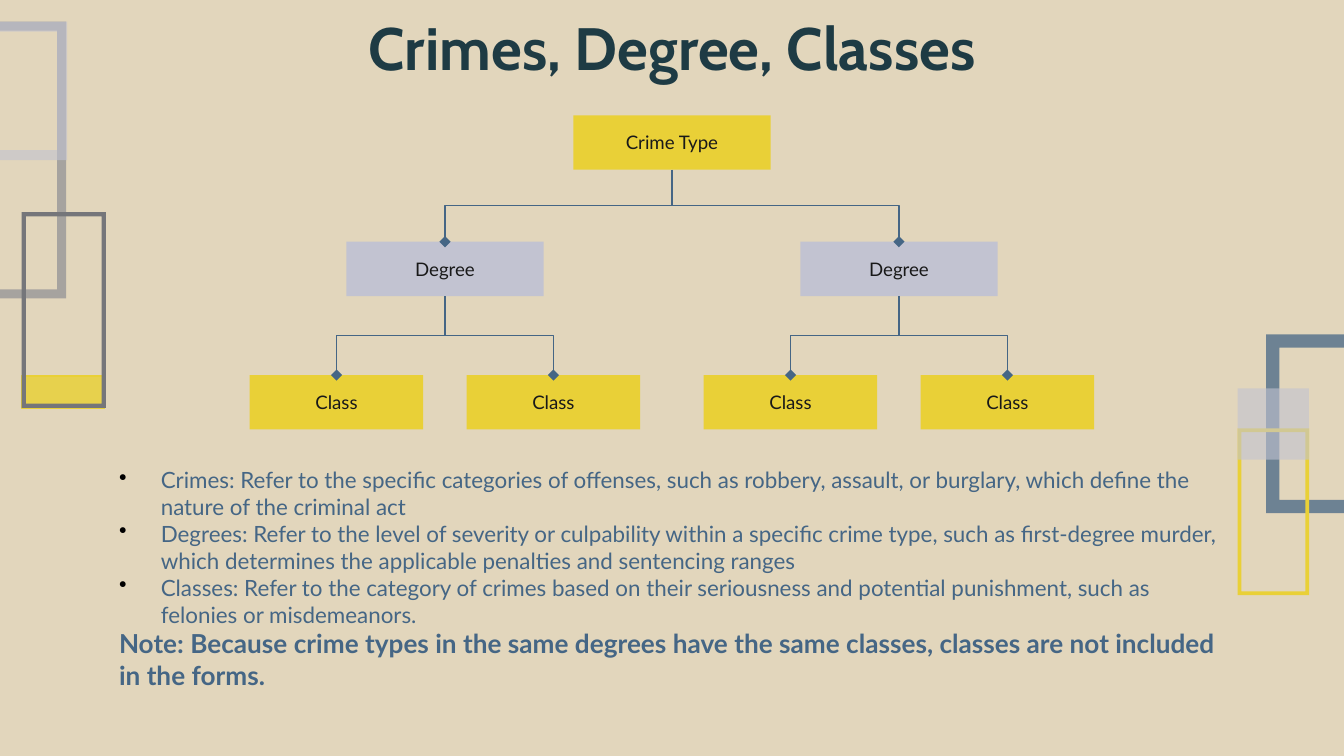
from lxml import etree
from pptx import Presentation
from pptx.dml.color import RGBColor
from pptx.enum.shapes import MSO_CONNECTOR, MSO_SHAPE
from pptx.enum.text import MSO_ANCHOR, MSO_AUTO_SIZE, PP_ALIGN
from pptx.oxml.ns import qn
from pptx.util import Cm, Pt

RECTANGLE, ELBOW = MSO_SHAPE.RECTANGLE, MSO_CONNECTOR.ELBOW
CENTER, LEFT = PP_ALIGN.CENTER, PP_ALIGN.LEFT
TOP, MIDDLE = MSO_ANCHOR.TOP, MSO_ANCHOR.MIDDLE
GROW = MSO_AUTO_SIZE.SHAPE_TO_FIT_TEXT

SAND = RGBColor(0xE2, 0xD6, 0xBC)
YELLOW = RGBColor(0xE9, 0xD0, 0x37)
LILAC = RGBColor(0xC2, 0xC3, 0xD1)
GRAY = RGBColor(0x8D, 0x8E, 0x93)
DARK_GRAY = RGBColor(0x75, 0x76, 0x7A)
BLUE = RGBColor(0x45, 0x66, 0x85)
TEAL = RGBColor(0x1E, 0x3B, 0x44)
INK = RGBColor(0x19, 0x19, 0x19)

# Content
TITLE = "Crimes, Degree, Classes"
TREE = ("Crime Type", [("Degree", [("Class", []), ("Class", [])]),
                       ("Degree", [("Class", []), ("Class", [])])])
DEFINITIONS = [
    "Crimes: Refer to the specific categories of offenses, such as robbery, assault, "
    "or burglary, which define the nature of the criminal act",
    "Degrees: Refer to the level of severity or culpability within a specific crime type, "
    "such as first-degree murder, which determines the applicable penalties and "
    "sentencing ranges",
    "Classes: Refer to the category of crimes based on their seriousness and potential "
    "punishment, such as felonies or misdemeanors.",
]
NOTE = ("Note: Because crime types in the same degrees have the same classes, "
        "classes are not included in the forms.")

# Tree levels: top, box width, offset of children from the centre (cm), fill
LEVELS = [(2.18, 3.73, 4.29, YELLOW), (4.57, 3.73, 2.05, LILAC), (7.09, 3.28, 0, YELLOW)]
NODE_HEIGHT = 1.03

# Decoration: left, top, width, height, border (cm; 0 is solid), fill, opacity %, outline
DECORATION = [
    (0.41, 7.11, 1.57, 0.61, 0, YELLOW, 83, YELLOW),
    (-2.03, 0.41, 3.28, 5.23, 0.17, GRAY, 70, None),
    (-1.24, 0.41, 2.51, 2.62, 0.19, LILAC, 60, None),
    (0.41, 4.01, 1.59, 3.7, 0.08, DARK_GRAY, 100, None),
    (23.93, 6.32, 3.28, 3.38, 0.25, BLUE, 74, None),
    (23.39, 8.1, 1.35, 3.15, 0.07, YELLOW, 100, None),
    (23.39, 7.34, 1.35, 1.35, 0, LILAC, 60, None),
]

deck = Presentation()
deck.slide_width, deck.slide_height = Cm(25.4), Cm(14.29)
page = deck.slides.add_slide(deck.slide_layouts[6])
page.background.fill.solid()
page.background.fill.fore_color.rgb = SAND


def write(para, text, *, size, color, font="Lato", bold=False, align=LEFT):
    para.alignment = align
    span = para.add_run()
    span.text = text
    span.font.name, span.font.size, span.font.bold = font, Pt(size), bold
    span.font.color.rgb = color


def set_margins(frame, margin):
    frame.margin_left = frame.margin_right = Cm(margin)
    frame.margin_top = frame.margin_bottom = Cm(margin)


def paint(shape, color, opacity=100, outline=None):
    shape.shadow.inherit = False
    shape.fill.solid()
    shape.fill.fore_color.rgb = color
    if opacity < 100:
        tint = shape.fill._xPr.find(qn("a:solidFill"))[0]
        etree.SubElement(tint, qn("a:alpha")).set("val", str(opacity * 1000))
    if outline is None:
        shape.line.fill.background()
    else:
        shape.line.color.rgb = outline
        shape.line.width = Pt(0.75)


def add_frame(left, top, width, height, border):
    right, bottom = left + width, top + height
    outer = [(left, top), (left, bottom), (right, bottom), (right, top)]
    inner = [(right - border, top + border), (right - border, bottom - border),
             (left + border, bottom - border), (left + border, top + border)]
    outer, inner = ([(Cm(x), Cm(y)) for x, y in ring] for ring in (outer, inner))
    builder = page.shapes.build_freeform(*outer[0])
    builder.add_line_segments(outer[1:], close=True)
    builder.move_to(*inner[0])
    builder.add_line_segments(inner[1:], close=True)
    return builder.convert_to_shape()


def add_branch(parent, child):
    start_x, start_y = parent.left + parent.width // 2, parent.top + parent.height
    end_x, end_y = child.left + child.width // 2, child.top
    branch = page.shapes.add_connector(ELBOW, start_x, start_y, end_x, end_y)
    branch.begin_connect(parent, 2)
    branch.end_connect(child, 0)
    # Turn the elbow so that it leaves the parent downwards
    branch.width, branch.height = end_y - start_y, abs(end_x - start_x)
    branch.left = (start_x + end_x - branch.width) // 2
    branch.top = (start_y + end_y - branch.height) // 2
    to_right = end_x > start_x
    properties = branch._element.spPr
    transform = properties.find(qn("a:xfrm"))
    transform.set("rot", "16200000" if to_right else "5400000")
    transform.set("flipH", "1" if to_right else "0")
    branch.line.color.rgb = BLUE
    branch.line.width = Pt(0.75)
    etree.SubElement(properties.find(qn("a:ln")), qn("a:tailEnd")).set("type", "diamond")
    etree.SubElement(properties, qn("a:effectLst"))


def add_node(node, center=12.7, level=0):
    label, children = node
    top, width, offset, color = LEVELS[level]
    box = page.shapes.add_shape(RECTANGLE, Cm(center - width / 2), Cm(top),
                                Cm(width), Cm(NODE_HEIGHT))
    paint(box, color)
    set_margins(box.text_frame, 0.25)
    box.text_frame.vertical_anchor = MIDDLE
    write(box.text_frame.paragraphs[0], label, size=10, color=INK, align=CENTER)
    for side, child in zip((-1, 1), children):
        add_branch(box, add_node(child, center + side * offset, level + 1))
    return box


def add_bullet(para):
    properties = para._p.get_or_add_pPr()
    properties.set("marL", str(Cm(0.79)))
    properties.set("indent", str(-Cm(0.79)))
    color = etree.SubElement(properties, qn("a:buClr"))
    etree.SubElement(color, qn("a:srgbClr")).set("val", "000000")
    etree.SubElement(properties, qn("a:buChar")).set("char", "•")


# Side decoration
for *area, border, color, opacity, outline in DECORATION:
    if border:
        ornament = add_frame(*area, border)
    else:
        ornament = page.shapes.add_shape(RECTANGLE, *map(Cm, area))
    paint(ornament, color, opacity, outline)

# Title
title = page.shapes.add_textbox(Cm(2), Cm(-0.05), Cm(21.41), Cm(1.32)).text_frame
title.word_wrap = True
title.vertical_anchor = TOP
set_margins(title, 0.25)
write(title.paragraphs[0], TITLE, size=32, color=TEAL, font="Cabin", bold=True, align=CENTER)

# Tree
add_node(TREE)

# Definitions and note
body = page.shapes.add_textbox(Cm(2), Cm(8.69), Cm(21.41), Cm(4.52)).text_frame
body.word_wrap = True
body.auto_size = GROW
for index, definition in enumerate(DEFINITIONS):
    para = body.add_paragraph() if index else body.paragraphs[0]
    add_bullet(para)
    write(para, definition, size=12, color=BLUE)
write(body.add_paragraph(), NOTE, size=14, color=BLUE, bold=True)

deck.save("out.pptx")
